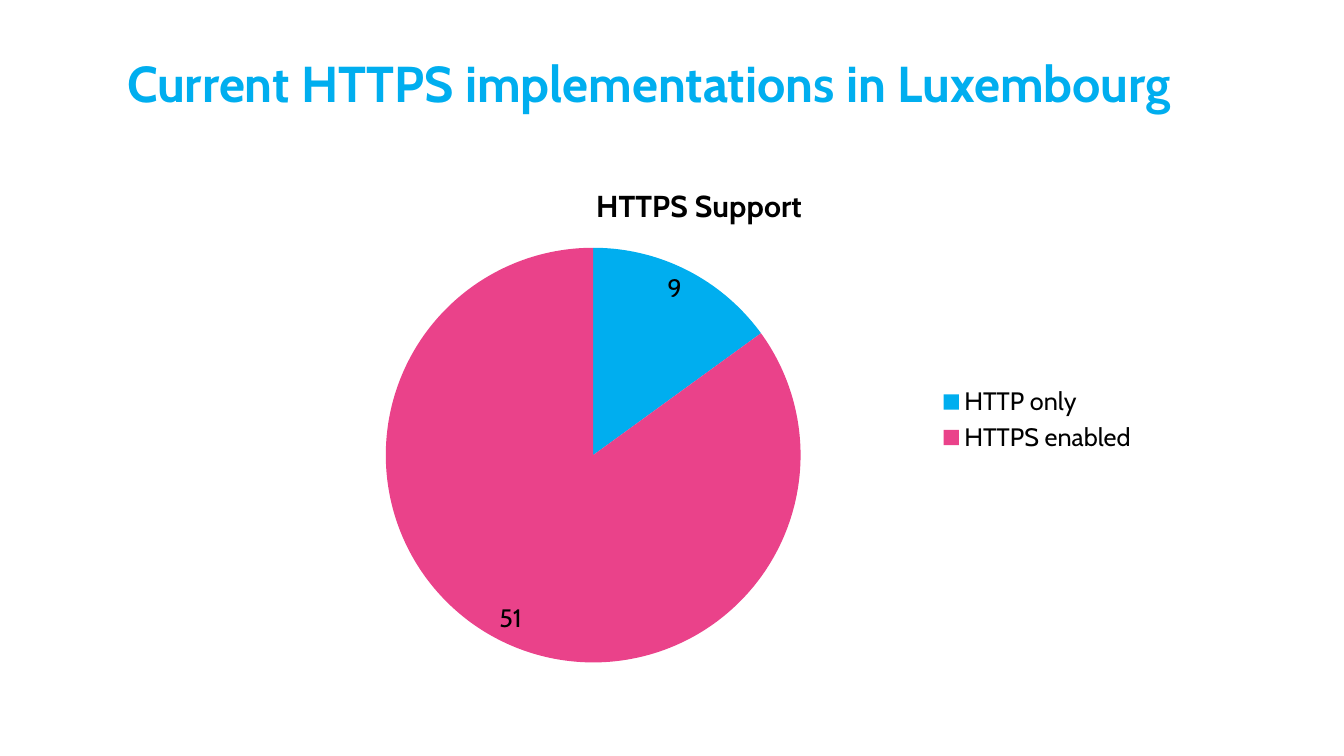
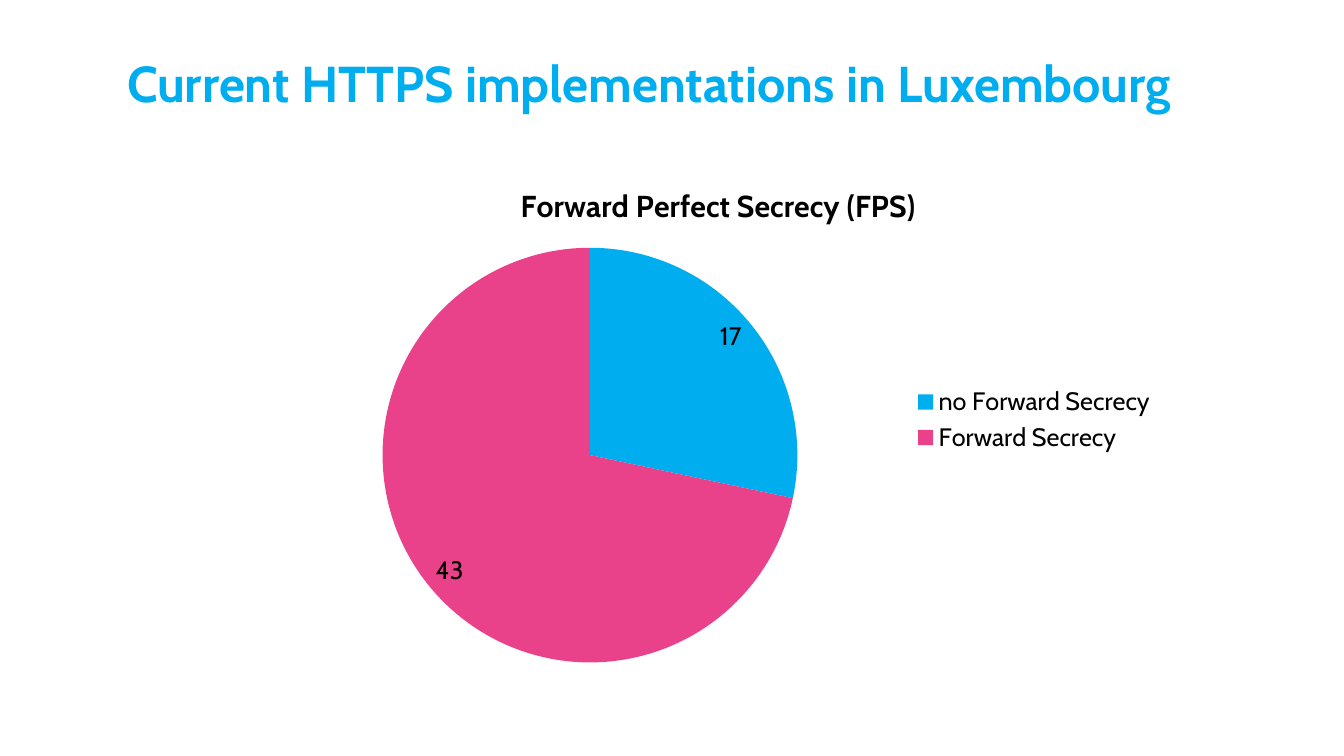
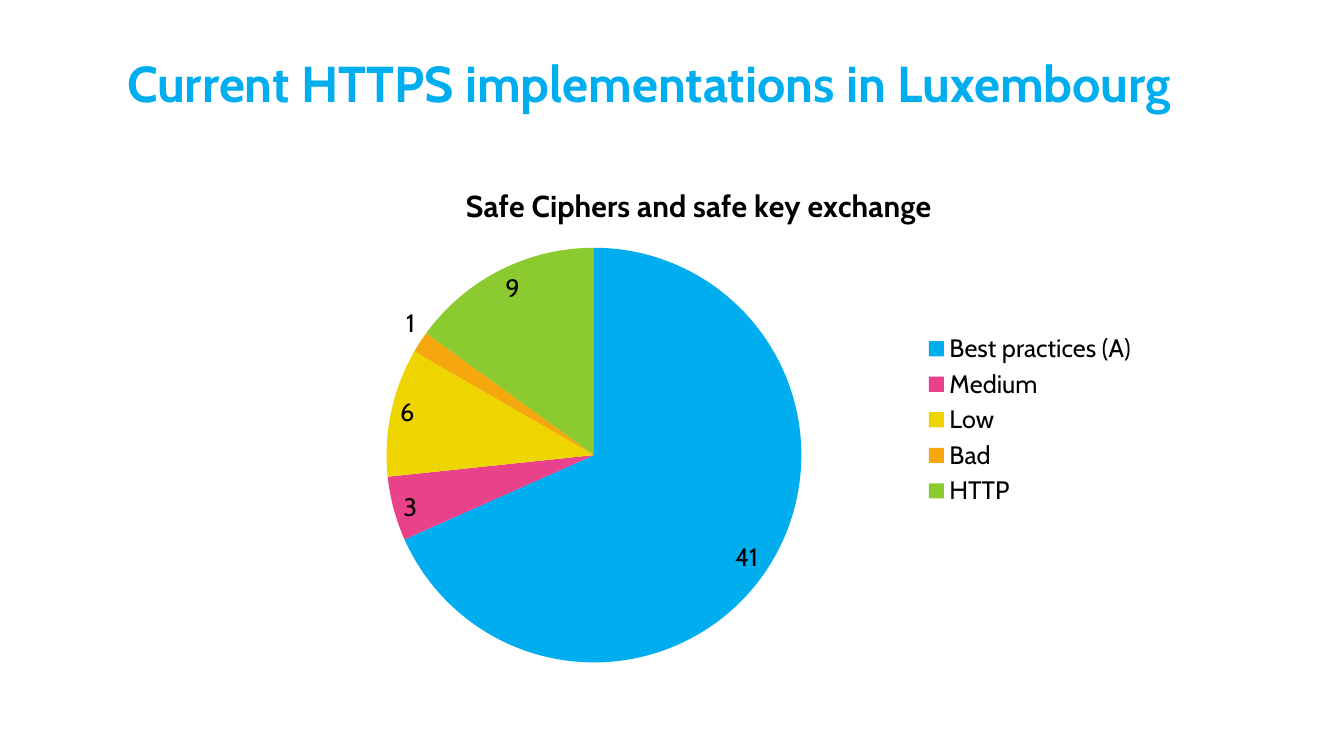
import dataclasses

import pptx
import pptx.chart.data
import pptx.dml.color
import pptx.enum.chart
import pptx.enum.text
import pptx.presentation
import pptx.util

Inches = pptx.util.Inches
Pt = pptx.util.Pt

# Shared style
FONT = "Cabin"
HEAD = "Current HTTPS implementations in Luxembourg"
COLORS = {
    "blue": "00AEEF",
    "pink": "EA428A",
    "yellow": "EED500",
    "orange": "F5A70D",
    "green": "8BCB30",
    "black": "000000",
}
SLICES = ("blue", "pink", "yellow", "orange", "green")


@dataclasses.dataclass(frozen=True)
class Pie:
    title: str
    series: str
    values: dict[str, int]
    left: float = 2.49


PIES = (
    Pie("HTTPS Support", "HTTPS Support", {"HTTP only": 9, "HTTPS enabled": 51}),
    Pie(
        "Forward Perfect Secrecy (FPS)",
        "Series 1",
        {"no Forward Secrecy": 17, "Forward Secrecy": 43},
        left=2.68,
    ),
    Pie(
        "Safe Ciphers and safe key exchange",
        "Series 1",
        {"Best practices (A)": 41, "Medium": 3, "Low": 6, "Bad": 1, "HTTP": 9},
    ),
)


def rgb(name: str) -> pptx.dml.color.RGBColor:
    return pptx.dml.color.RGBColor.from_string(COLORS[name])


def style(font, size: float, color: str, bold: bool) -> None:
    font.name = FONT
    font.size = Pt(size)
    font.bold = bold
    font.color.rgb = rgb(color)


def add_head(slide) -> None:
    """Place and format the slide title."""
    head = slide.shapes.title
    head.left, head.top = Inches(1.16), Inches(0.58)
    head.width, head.height = Inches(11.33), Inches(1.04)
    frame = head.text_frame
    frame.text = HEAD
    frame.auto_size = pptx.enum.text.MSO_AUTO_SIZE.NONE
    frame.vertical_anchor = pptx.enum.text.MSO_ANCHOR.TOP
    para = frame.paragraphs[0]
    para.alignment = pptx.enum.text.PP_ALIGN.LEFT
    para.line_spacing = 0.8
    style(para.font, 36, "blue", True)


def add_pie(slide, pie: Pie) -> None:
    """Draw one pie chart with its title, legend and value labels."""
    data = pptx.chart.data.CategoryChartData()
    data.categories = list(pie.values)
    data.add_series(pie.series, list(pie.values.values()))
    chart = slide.shapes.add_chart(
        pptx.enum.chart.XL_CHART_TYPE.PIE,
        Inches(pie.left), Inches(1.62), Inches(8.89), Inches(5.09), data,
    ).chart
    style(chart.font, 18, "black", False)

    # Title and legend
    frame = chart.chart_title.text_frame
    frame.text = pie.title
    style(frame.paragraphs[0].font, 21.6, "black", True)
    chart.has_legend = True
    chart.legend.position = pptx.enum.chart.XL_LEGEND_POSITION.RIGHT
    chart.legend.include_in_layout = False

    # Slices and labels
    plot = chart.plots[0]
    plot.vary_by_categories = True
    plot.has_data_labels = True
    plot.data_labels.show_value = True
    plot.data_labels.show_percentage = False
    plot.data_labels.position = pptx.enum.chart.XL_LABEL_POSITION.BEST_FIT
    for index, color in enumerate(SLICES[:len(pie.values)]):
        fill = plot.series[0].points[index].format.fill
        fill.solid()
        fill.fore_color.rgb = rgb(color)


def main() -> None:
    deck = pptx.Presentation()
    deck.slide_width, deck.slide_height = Inches(13.33), Inches(7.5)
    layout = deck.slide_layouts.get_by_name("Title Only")
    for pie in PIES:
        slide = deck.slides.add_slide(layout)
        add_head(slide)
        add_pie(slide, pie)
    deck.save("out.pptx")


if __name__ == "__main__":
    main()
